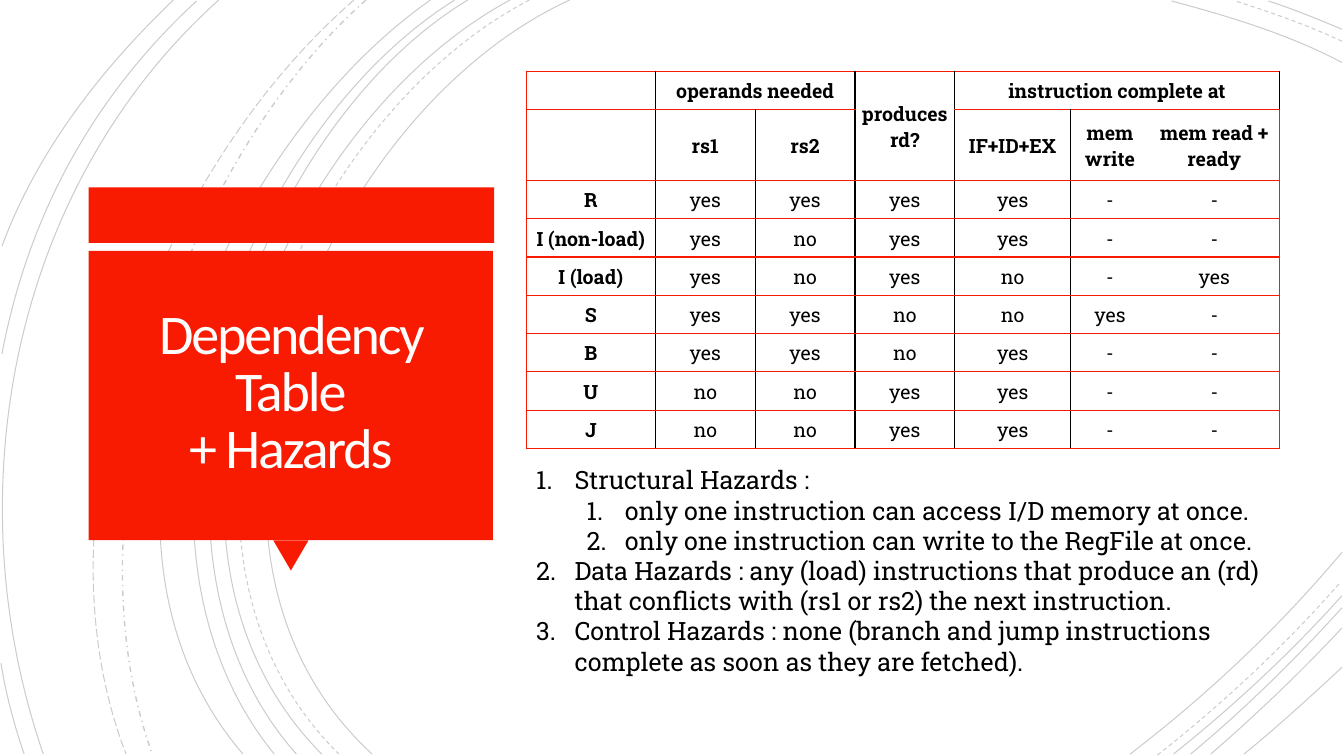
from dataclasses import dataclass

from lxml.etree import SubElement
from pptx import Presentation
from pptx.dml.color import RGBColor
from pptx.enum.dml import MSO_LINE
from pptx.enum.shapes import MSO_SHAPE
from pptx.enum.text import MSO_ANCHOR, MSO_AUTO_SIZE, PP_ALIGN
from pptx.oxml.ns import qn
from pptx.slide import Slide
from pptx.table import Table, _Cell
from pptx.text.text import TextFrame
from pptx.util import Pt

PX = 9144  # EMU per px, 100 px to the inch
RED = RGBColor(0xF8, 0x1B, 0x02)
BLACK = RGBColor(0, 0, 0)
WHITE = RGBColor(0xFF, 0xFF, 0xFF)
TITLE_WHITE = RGBColor(0xFF, 0xFE, 0xFF)
BODY_FONT = "Roboto Slab"
NO_GRID_STYLE = "{2D5ABB26-0587-4C30-8999-92F81FD0307C}"


@dataclass
class Arc:
    """A cubic curve: start, two control points and end."""
    points: tuple[tuple[int, int], ...]
    dash: MSO_LINE = MSO_LINE.SOLID
    weight: float = 0.75


@dataclass
class Block:
    preset: MSO_SHAPE
    left: int
    top: int
    width: int
    height: int
    rotation: int = 0


@dataclass
class Hazard:
    text: str
    level: int = 0


ARCS = [
    Arc(((565, 0), (315, 115), (143, 540), (369, 748))),
    Arc(((1331, 62), (1278, 34), (1218, 16), (1162, 1))),
    Arc(((1121, 748), (1197, 690), (1269, 622), (1331, 548))),
    Arc(((525, 0), (285, 125), (123, 537), (336, 748)), MSO_LINE.DASH),
    Arc(((1331, 41), (1297, 25), (1260, 12), (1225, 1)), MSO_LINE.DASH),
    Arc(((1148, 749), (1213, 698), (1275, 640), (1330, 577)), MSO_LINE.DASH),
    Arc(((506, 0), (270, 127), (110, 537), (319, 748))),
    Arc(((1331, 29), (1307, 19), (1283, 9), (1258, 1))),
    Arc(((1164, 748), (1223, 701), (1280, 648), (1331, 591))),
    Arc(((464, 0), (244, 133), (110, 541), (294, 748))),
    Arc(((1181, 748), (1234, 704), (1284, 655), (1331, 603))),
    Arc(((451, 0), (231, 138), (97, 533), (272, 748))),
    Arc(((1201, 748), (1246, 709), (1290, 667), (1331, 623))),
    Arc(((427, 0), (217, 147), (53, 529), (241, 748))),
    Arc(((1234, 748), (1267, 721), (1299, 692), (1331, 662))),
    Arc(((363, 0), (176, 166), (65, 509), (151, 748)), MSO_LINE.DASH_DOT, 1),
    Arc(((351, 0), (157, 169), (29, 499), (125, 748)), MSO_LINE.LONG_DASH),
    Arc(((217, 0), (11, 185), (-46, 490), (43, 748))),
    Arc(((195, 1), (92, 96), (28, 214), (2, 351))),
    Arc(((1, 658), (6, 689), (14, 719), (24, 748))),
    Arc(((172, 0), (100, 69), (37, 150), (2, 244))),
]
TITLE_BLOCKS = [
    Block(MSO_SHAPE.RECTANGLE, 88, 186, 402, 55),
    Block(MSO_SHAPE.ISOSCELES_TRIANGLE, 271, 536, 35, 30, 180),
    Block(MSO_SHAPE.RECTANGLE, 88, 249, 401, 287),
]
COLUMN_WIDTHS = [128, 99, 99, 99, 115, 78, 129]
ROW_HEIGHTS = [38, 70] + [38] * 7
# Colour of each vertical rule, from the left edge to the right edge
VERTICAL_RULES = [RED, BLACK, BLACK, BLACK, BLACK, BLACK, None, RED]
MERGES = [(0, 1, 0, 2), (0, 3, 1, 3), (0, 4, 0, 6)]
HEADER_ROWS = 2
DEPENDENCIES = [
    ["", "operands needed", "", "produces rd?", "instruction complete at", "", ""],
    ["", "rs1", "rs2", "", "IF+ID+EX", "mem write", "mem read + ready"],
    ["R", "yes", "yes", "yes", "yes", "-", "-"],
    ["I (non-load)", "yes", "no", "yes", "yes", "-", "-"],
    ["I (load)", "yes", "no", "yes", "no", "-", "yes"],
    ["S", "yes", "yes", "no", "no", "yes", "-"],
    ["B", "yes", "yes", "no", "yes", "-", "-"],
    ["U", "no", "no", "yes", "yes", "-", "-"],
    ["J", "no", "no", "yes", "yes", "-", "-"],
]
HAZARDS = [
    Hazard("Structural Hazards :"),
    Hazard("only one instruction can access I/D memory at once.", 1),
    Hazard("only one instruction can write to the RegFile at once.", 1),
    Hazard("Data Hazards : any (load) instructions that produce an (rd) "
           "that conflicts with (rs1 or rs2) the next instruction."),
    Hazard("Control Hazards : none (branch and jump instructions "
           "complete as soon as they are fetched)."),
]


def draw_arc(page: Slide, arc: Arc) -> None:
    builder = page.shapes.build_freeform(*arc.points[0], scale=PX)
    builder.add_line_segments(arc.points[1:], close=False)
    shape = builder.convert_to_shape()
    shape.shadow.inherit = False
    shape.fill.background()
    shape.line.color.rgb = BLACK
    shape.line.width = Pt(arc.weight)
    shape.line.dash_style = arc.dash
    color = shape.element.spPr.find(f"{qn('a:ln')}//{qn('a:srgbClr')}")
    SubElement(color, qn("a:alpha"), val="20000")
    # Turn the three segments into one cubic curve
    outline = shape.element.find(f".//{qn('a:path')}")
    segments = outline.findall(qn("a:lnTo"))
    curve = SubElement(outline, qn("a:cubicBezTo"))
    for segment in segments:
        curve.append(segment[0])
        outline.remove(segment)


def draw_block(page: Slide, block: Block) -> None:
    shape = page.shapes.add_shape(
        block.preset, block.left * PX, block.top * PX, block.width * PX, block.height * PX)
    shape.rotation = block.rotation
    shape.shadow.inherit = False
    shape.fill.solid()
    shape.fill.fore_color.rgb = RED
    shape.line.fill.background()


def add_text(frame: TextFrame, text: str, size: int, color: RGBColor, font: str,
             bold: bool = False, first: bool = True):
    para = frame.paragraphs[0] if first else frame.add_paragraph()
    for index, line in enumerate(text.split("\n")):
        if index:
            para.add_line_break()
        span = para.add_run()
        span.text = line
        formats = {"size": Pt(size), "name": font, "bold": bold}
        for name, value in formats.items():
            setattr(span.font, name, value)
        span.font.color.rgb = color
    return para


def add_box(page: Slide, left: int, top: int, width: int, height: int) -> TextFrame:
    frame = page.shapes.add_textbox(left * PX, top * PX, width * PX, height * PX).text_frame
    frame.word_wrap = True
    return frame


def draw_title(page: Slide) -> None:
    frame = add_box(page, 97, 257, 383, 269)
    formats = {"vertical_anchor": MSO_ANCHOR.MIDDLE}
    formats |= {f"margin_{side}": 25 * PX for side in ("left", "right", "top", "bottom")}
    for name, value in formats.items():
        setattr(frame, name, value)
    para = add_text(frame, "Dependency Table\n+ Hazards", 40, TITLE_WHITE, "Calibri")
    para.alignment = PP_ALIGN.CENTER
    para.line_spacing = 0.85
    for span in para.runs:
        span.font._element.set("spc", "-150")


def set_borders(cell: _Cell, colors: dict[str, RGBColor | None]) -> None:
    properties = cell._tc.get_or_add_tcPr()
    for index, (side, color) in enumerate(colors.items()):
        line = SubElement(properties, qn(f"a:ln{side}"), w=str(Pt(1)))
        if color is None:
            SubElement(line, qn("a:noFill"))
        else:
            SubElement(SubElement(line, qn("a:solidFill")), qn("a:srgbClr"), val=str(color))
        properties.insert(index, line)


def fill_cell(table: Table, row: int, column: int, text: str) -> None:
    cell = table.cell(row, column)
    cell.fill.solid()
    cell.fill.fore_color.rgb = WHITE
    formats = {"margin_left": PX, "margin_right": PX, "margin_top": PX, "margin_bottom": 0,
               "vertical_anchor": MSO_ANCHOR.MIDDLE}
    for name, value in formats.items():
        setattr(cell, name, value)
    if text:
        bold = row < HEADER_ROWS or column == 0
        add_text(cell.text_frame, text, 14, BLACK, BODY_FONT, bold).alignment = PP_ALIGN.CENTER
    if not cell.is_spanned:
        end = column + (cell.span_width if cell.is_merge_origin else 1)
        right = BLACK if row == 0 else VERTICAL_RULES[end]
        set_borders(cell, {"L": VERTICAL_RULES[column], "R": right, "T": RED, "B": RED})


def draw_table(page: Slide) -> None:
    frame = page.shapes.add_table(
        len(ROW_HEIGHTS), len(COLUMN_WIDTHS), 522 * PX, 71 * PX,
        sum(COLUMN_WIDTHS) * PX, sum(ROW_HEIGHTS) * PX)
    table = frame.table
    table.first_row = table.horz_banding = False
    table._tbl.tblPr.find(qn("a:tableStyleId")).text = NO_GRID_STYLE
    for column, width in zip(table.columns, COLUMN_WIDTHS):
        column.width = width * PX
    for row, height in zip(table.rows, ROW_HEIGHTS):
        row.height = height * PX
    for top, left, bottom, right in MERGES:
        table.cell(top, left).merge(table.cell(bottom, right))
    for row, texts in enumerate(DEPENDENCIES):
        for column, text in enumerate(texts):
            fill_cell(table, row, column, text)


def draw_hazards(page: Slide) -> None:
    frame = add_box(page, 522, 456, 748, 222)
    frame.auto_size = MSO_AUTO_SIZE.SHAPE_TO_FIT_TEXT
    for index, hazard in enumerate(HAZARDS):
        para = add_text(frame, hazard.text, 18, BLACK, BODY_FONT, first=index == 0)
        para.level = hazard.level
        properties = para._p.get_or_add_pPr()
        properties.set("marL", str((38 + 50 * hazard.level) * PX))
        properties.set("indent", str(-38 * PX))
        SubElement(properties, qn("a:buAutoNum"), type="arabicPeriod")


def main() -> None:
    deck = Presentation()
    deck.slide_width, deck.slide_height = 1333 * PX, 750 * PX
    page = deck.slides.add_slide(deck.slide_layouts[6])
    # Background arcs, then the red title block
    for arc in ARCS:
        draw_arc(page, arc)
    for block in TITLE_BLOCKS:
        draw_block(page, block)
    draw_title(page)
    # Dependency table and the hazards below it
    draw_table(page)
    draw_hazards(page)
    deck.save("out.pptx")


if __name__ == "__main__":
    main()
